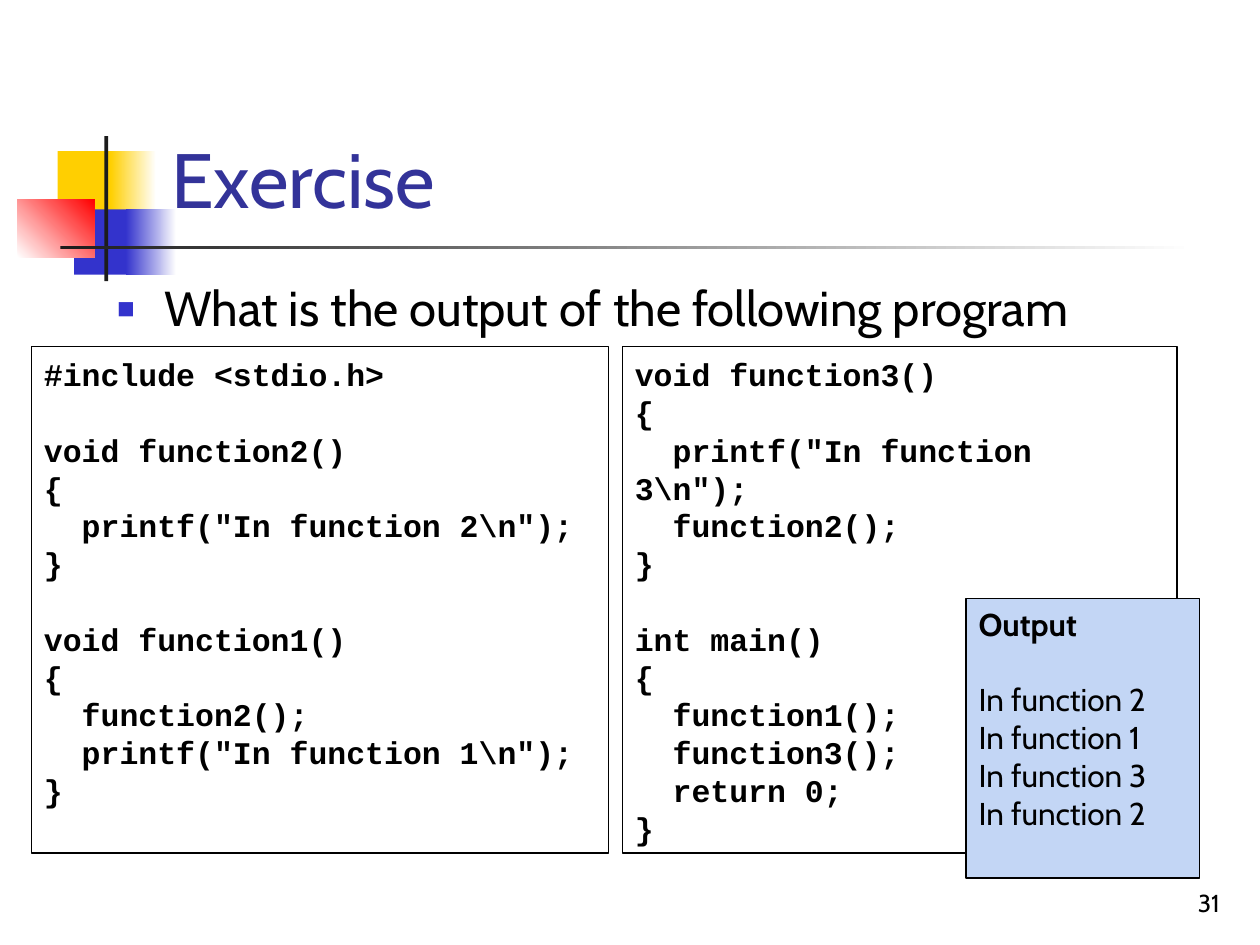
import pptx
import pptx.util
import pptx.dml.color
import pptx.enum.shapes
import pptx.enum.text
import lxml.etree

Pt = pptx.util.Pt
RGBColor = pptx.dml.color.RGBColor
Align = pptx.enum.text.PP_ALIGN
Anchor = pptx.enum.text.MSO_ANCHOR

BLACK = RGBColor(0x00, 0x00, 0x00)
WHITE = RGBColor(0xFF, 0xFF, 0xFF)
GOLD = RGBColor(0xFF, 0xCF, 0x01)
BLUE = RGBColor(0x33, 0x33, 0xCC)
RED = RGBColor(0xFF, 0x00, 0x00)
COAL = RGBColor(0x1C, 0x1C, 0x1C)
NAVY = RGBColor(0x33, 0x33, 0x99)
PALE = RGBColor(0xC3, 0xD6, 0xF5)

SANS = "Cabin"
MONO = "Courier New"
LINE = 21.6

LEFT = [
    "#include <stdio.h>", "",
    "void function2()", "{", '  printf("In function 2\\n");', "}", "",
    "void function1()", "{", "  function2();",
    '  printf("In function 1\\n");', "}",
]
RIGHT = [
    "void function3()", "{", '  printf("In function 3\\n");',
    "  function2();", "}", "",
    "int main()", "{", "  function1();", "  function3();",
    "  return 0;", "}",
]
RESULT = ["Output", ""] + [f"In function {n}" for n in (2, 1, 3, 2)]


def add_run(para, text, size, color=BLACK, font=SANS, bold=False):
    run = para.add_run()
    run.text = text
    run.font.size = Pt(size)
    run.font.name = font
    run.font.bold = bold
    run.font.color.rgb = color


def add_rect(slide, box):
    kind = pptx.enum.shapes.MSO_SHAPE.RECTANGLE
    shape = slide.shapes.add_shape(kind, *map(Pt, box))
    shape.shadow.inherit = False
    shape.line.fill.background()
    return shape


def add_block(slide, box, start, end=None, angle=0):
    fill = add_rect(slide, box).fill
    if end is None:
        fill.solid()
        fill.fore_color.rgb = start
        return
    fill.gradient()
    fill.gradient_angle = angle
    for stop, color in zip(fill.gradient_stops, (start, end)):
        stop.color.rgb = color


def add_motif(slide, box):
    left, top, width, height = box
    blocks = [
        (23, 8.6, 34.6, 37.4, GOLD),
        (53.3, 8.6, 25.9, 37.4, GOLD, WHITE),
        (32.4, 41.8, 33.1, 37.4, BLUE),
        (62, 41.8, 28.8, 37.4, BLUE, WHITE),
        (0, 36, 43.9, 33.1, WHITE, RED, 45),
        (49.7, 0, 2.2, height, COAL),
        (24.5, 62.6, width - 24.5, 2.2, COAL, WHITE),
    ]
    for x, y, w, h, *paint in blocks:
        add_block(slide, (left + x, top + y, w, h), *paint)


def set_title(slide, box, text):
    title = slide.shapes.title
    title.left, title.top, title.width, title.height = map(Pt, box)
    frame = title.text_frame
    frame.auto_size = pptx.enum.text.MSO_AUTO_SIZE.NONE
    frame.vertical_anchor = Anchor.BOTTOM
    para = frame.paragraphs[0]
    para.alignment = Align.LEFT
    add_run(para, text, 44, NAVY)


def add_text(slide, box, anchor):
    frame = slide.shapes.add_textbox(*map(Pt, box)).text_frame
    frame.word_wrap = True
    frame.vertical_anchor = anchor
    return frame.paragraphs[0]


def add_bullet(slide, box, text):
    para = add_text(slide, box, Anchor.TOP)
    para.line_spacing = 0.9
    para.space_before = Pt(5.6)
    props = para._p.get_or_add_pPr()
    props.set("marL", str(Pt(27)))
    props.set("indent", str(Pt(-27)))
    space = pptx.oxml.ns.qn
    tint = lxml.etree.SubElement(props, space("a:buClr"))
    lxml.etree.SubElement(tint, space("a:srgbClr"), val=str(BLUE))
    lxml.etree.SubElement(props, space("a:buSzPct"), val="60000")
    lxml.etree.SubElement(props, space("a:buFont"), typeface="Arial")
    lxml.etree.SubElement(props, space("a:buChar"), char="■")
    add_run(para, text, 28)


def add_panel(slide, box, lines, font, fill=None):
    shape = add_rect(slide, box)
    shape.line.color.rgb = BLACK
    shape.line.width = Pt(1)
    if fill is None:
        shape.fill.background()
    else:
        shape.fill.solid()
        shape.fill.fore_color.rgb = fill
    frame = shape.text_frame
    frame.word_wrap = True
    frame.vertical_anchor = Anchor.TOP
    frame.margin_right = Pt(8)
    frame.margin_top = Pt(5 if font == MONO else 3.6)
    para, gap = frame.paragraphs[0], 0
    for row, line in enumerate(lines):
        if not line:
            gap = LINE
            continue
        if row:
            para = frame.add_paragraph()
        para.alignment = Align.LEFT
        para.line_spacing = Pt(LINE)
        para.space_before = Pt(gap)
        gap = 0
        if line.startswith("  "):
            para._p.get_or_add_pPr().set("indent", str(Pt(LINE)))
        add_run(para, line.strip(), 18, font=font,
                bold=font == MONO or row == 0)


def add_number(slide, box, text):
    para = add_text(slide, box, Anchor.BOTTOM)
    para.alignment = Align.RIGHT
    add_run(para, text, 14)


def build():
    deck = pptx.Presentation()
    deck.slide_width, deck.slide_height = Pt(720), Pt(540)
    slide = deck.slides.add_slide(deck.slide_layouts[5])
    add_motif(slide, (10, 77.8, 672.5, 82.8))
    add_number(slide, (554.4, 491.8, 149.8, 36), "31")
    set_title(slide, (90.7, 16.6, 613.4, 115.2), "Exercise")
    add_bullet(slide, (59.8, 159.1, 645, 38.9),
               "What is the output of the following program")
    add_panel(slide, (18, 198, 329.8, 289.4), LEFT, MONO)
    add_panel(slide, (355.7, 198, 316.8, 289.4), RIGHT, MONO)
    add_panel(slide, (552.2, 342, 133.2, 159.8), RESULT, SANS, PALE)
    deck.save("out.pptx")


build()
